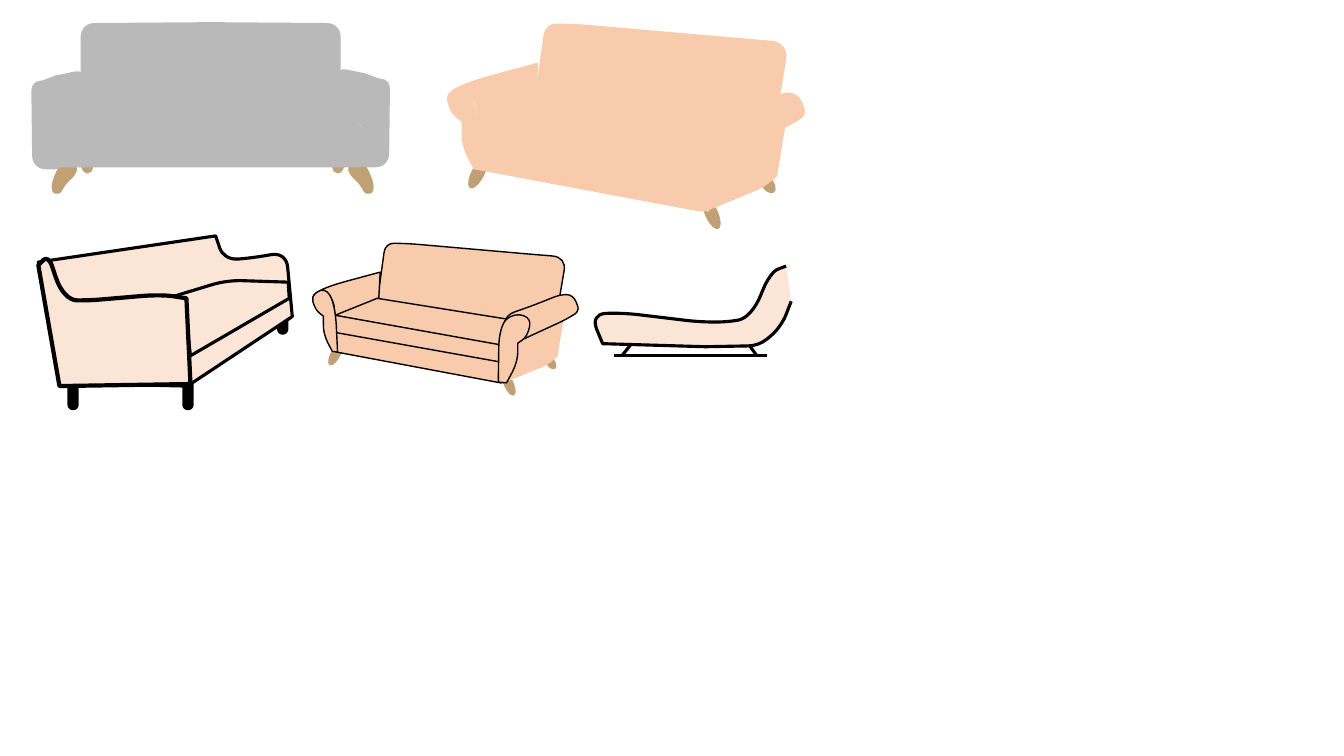
from itertools import pairwise
from math import dist

from pptx import Presentation
from pptx.dml.color import RGBColor
from pptx.enum.shapes import MSO_CONNECTOR, MSO_SHAPE
from pptx.oxml.ns import qn
from pptx.oxml.xmlchemy import OxmlElement
from pptx.util import Cm, Pt

COLORS = {"wood": "C0A175", "grey": "B9B9B9", "peach": "F8CBAD", "cream": "FBE5D6", "black": "000000"}

# Style: fill, line colour, line width in points
STYLES = {
    "wood": ("wood", None, 0), "edged wood": ("wood", "wood", 1),
    "grey": ("grey", None, 0),
    "peach": ("peach", None, 0), "inked peach": ("peach", "black", 1),
    "cream": ("cream", "black", 2.25), "bold cream": ("cream", "black", 3),
    "thin stroke": (None, "black", 2.25), "thick stroke": (None, "black", 4.5),
}

# Every outline is a list of corners in inches: x, y and, if the corner is rounded, a radius.

# Grey sofa: only the right half is described, the left half is its mirror image.
GREY_AXIS, GREY_LEG_AXIS, LEFT_DROP = 2.09, 2.11, 0.02
GREY_HALVES = [
    [(2.09, 0.22), (3.38, 0.23, 0.14), (3.38, 1.25, 0.14)],               # back
    [(3.33, 1.07), (3.58, 1.25), (3.68, 1.27, 0.1), (3.68, 1.66, 0.13)],  # seat
]
GREY_ARM = [
    [(3.63, 0.78, 0.12), (3.87, 0.78, 0.1), (3.86, 1.66, 0.14), (3.54, 1.66, 0.1)],
    [(3.35, 1.1), (3.34, 0.67, 0.1), (3.63, 0.73), (3.84, 0.81), (3.64, 0.82, 0.1), (3.6, 1.26)],
]
# One leg lying flat around (0, 0), then where its centre goes and how far it turns.
TAPERED_LEG = [(-0.17, -0.08, 0.08), (0.02, -0.08, 0.1), (0.17, -0.03, 0.08), (0.16, 0.06, 0.06),
               (0.03, 0.05, 0.1), (-0.08, 0.09, 0.08), (-0.18, 0.07, 0.08)]
GREY_LEGS = [(3.6, 1.76, 59), (3.35, 1.54, 84.1)]

# Peach sofa: drawn large, and again as an inked loveseat at a smaller scale.
PEACH_PARTS = {
    "back": [(5.41, 0.23, 0.12), (5.75, 0.24, 0.1), (7.24, 0.37), (7.83, 0.42, 0.18),
             (7.72, 1.07, 0.03), (7.51, 1.03), (7.16, 1.37, 0.1), (5.69, 1.11), (5.3, 1.02)],
    "side": [(7.02, 2.09), (7.08, 1.7, 0.2), (7.16, 1.54), (7.79, 1.26), (7.71, 1.75),
             (7.58, 1.86, 0.1)],
    "left arm": [(4.45, 0.93), (4.6, 0.82, 0.3), (5.34, 0.62), (5.31, 1.19), (4.72, 1.47),
                 (4.74, 0.92, 0.27)],
    "seat": [(5.35, 1.01), (7.2, 1.34, 0.05), (6.97, 1.61), (6.97, 1.86, 0.05),
             (4.76, 1.46, 0.06), (4.76, 1.26, 0.06)],
    "right arm": [(7.2, 1.54), (6.98, 1.4), (7.03, 1.19, 0.1), (7.37, 1.07, 0.1),
                  (7.75, 0.92, 0.08), (7.92, 0.92, 0.1), (8.01, 1.14, 0.08), (7.81, 1.26, 0.1)],
    "base": [(4.7, 1.42, 0.05), (7.05, 1.84, 0.05), (7, 2.11, 0.05), (4.71, 1.68, 0.06)],
    "left front": [(4.42, 0.94, 0.07), (4.6, 0.82, 0.12), (4.74, 1.05, 0.3), (4.77, 1.69),
                   (4.7, 1.68), (4.58, 1.45, 0.2), (4.58, 1.21), (4.47, 1.12, 0.12)],
    "right front": [(7.36, 1.24, 0.1), (7.14, 1.16, 0.14), (6.93, 1.33, 0.3), (6.92, 2.09),
                    (7.03, 2.1), (7.18, 1.82, 0.28), (7.18, 1.57), (7.31, 1.48, 0.12)],
}
# Oval legs: centre, length, thickness, rotation
PEACH_LEGS = {"front leg": (7.06, 2.12, 0.33, 0.13, 65.8), "rear leg": (7.62, 1.83, 0.2, 0.12, 54.2),
              "left leg": (4.74, 1.72, 0.33, 0.13, 117.5)}
PEACH_ORDER = ["front leg", "rear leg", "back", "side", "left arm", "left leg", "seat",
               "right arm", "base", "left front", "right front"]
LOVESEAT_ORDER = ["back", "left arm", "cushion", "raised base", "front leg", "rear leg", "side",
                  "left leg", "right arm", "base", "left front", "right front"]
LOVESEAT_SCALE, LOVESEAT_LEFT, LOVESEAT_TOP = 0.742, -0.19, 2.24
CUSHION_RISE = 0.23
LOVESEAT_PARTS = PEACH_PARTS | {
    "cushion": [(4.73, 1.2), (5.3, 0.97), (7.11, 1.26, 0.07), (7.06, 1.62, 0.07)],
    "raised base": [(x, y - CUSHION_RISE, radius) for x, y, radius in PEACH_PARTS["base"]],
}

CREAM_PARTS = [
    ("cream", [(0.38, 2.6), (2.14, 2.34), (2.22, 2.58, 0.15), (2.5, 2.56, 0.2),
               (2.84, 2.5, 0.15), (2.9, 3.14), (1.86, 3.83), (0.6, 3.8)]),           # frame
    ("cream", [(0.97, 3.17), (2.25, 2.78, 0.15), (2.86, 2.8), (2.87, 2.96),
               (1.89, 3.53), (1.84, 3.08)]),                                         # seat
    ("bold cream", [(0.38, 2.63), (0.48, 2.53, 0.12), (0.63, 2.98, 0.25), (0.9, 2.98, 0.1),
                    (1.6, 2.92, 0.2), (1.85, 2.96), (1.89, 3.81), (0.59, 3.83)]),    # near arm
]
CREAM_LEG_SIZE = (0.05, 0.26)
CREAM_LEGS = [(0.7, 3.78), (1.84, 3.78), (2.78, 3.03)]

CHAISE_BODY = [(7.8, 2.64), (7.64, 2.7, 0.2), (7.46, 3.15, 0.3), (7.2, 3.2, 0.2), (6.9, 3.19, 0.1),
               (6.15, 3.1, 0.2), (5.86, 3.12, 0.2), (5.98, 3.41), (7, 3.44), (7.53, 3.43, 0.1),
               (7.75, 3.25, 0.2), (7.85, 2.99)]
CHAISE_STRUTS = [(6.29, 3.38, 6.17, 3.53), (7.38, 3.35, 7.51, 3.53), (6.09, 3.53, 7.61, 3.53)]

ROUNDNESS = 0.6  # how far a curve's handles reach towards the corner

deck = Presentation()
deck.slide_width, deck.slide_height = Cm(33.87), Cm(19.05)
page = deck.slides.add_slide(deck.slide_layouts[6])
shapes = page.shapes


def inches(*values):
    return [Cm(value * 2.54) for value in values]


def color(name):
    return RGBColor.from_string(COLORS[name])


def paint(shape, style, rotation=0):
    fill, line, width = STYLES[style]
    shape.shadow.inherit = False
    shape.rotation = rotation
    for surface, name in ((shape.fill, fill), (shape.line.fill, line)):
        if name:
            surface.solid()
            surface.fore_color.rgb = color(name)
        else:
            surface.background()
    if line:
        shape.line.width = Pt(width)
    return shape


def toward(start, end, share):
    return tuple(a + (b - a) * share for a, b in zip(start, end))


def round_corners(corners, closed):
    """Return the outline's points, and the index at which each four-point curve begins."""
    points, curve_starts = [], []
    for index, (*corner, radius) in enumerate((*corner, 0)[:3] for corner in corners):
        if not radius or (not closed and index in (0, len(corners) - 1)):
            points.append(corner)
            continue
        before, after = corners[index - 1][:2], corners[(index + 1) % len(corners)][:2]
        enter, leave = (toward(corner, other, min(0.5, radius / dist(corner, other)))
                        for other in (before, after))
        curve_starts.append(len(points))
        points += [enter, toward(enter, corner, ROUNDNESS), toward(leave, corner, ROUNDNESS), leave]
    return points, curve_starts


def draw(corners, style, closed=True, rotation=0):
    points, curve_starts = round_corners(corners, closed)
    start, *others = [inches(*point) for point in points]
    builder = shapes.build_freeform(*start)
    builder.add_line_segments(others, close=closed)
    shape = builder.convert_to_shape()
    lines = list(shape.element.iter(qn("a:lnTo")))
    for first in curve_starts:
        curve = OxmlElement("a:cubicBezTo")
        lines[first].addprevious(curve)
        for line in lines[first:first + 3]:
            curve.append(line[0])
            line.getparent().remove(line)
    return paint(shape, style, rotation)


def place(corners, scale=1, left=0, top=0):
    return [(x * scale + left, y * scale + top, *(radius * scale for radius in rest))
            for x, y, *rest in corners]


def mirror(corners, axis, drop=0):
    return [(2 * axis - x, y + drop, *rest) for x, y, *rest in corners]


def preset(kind, style, box, rotation=0):
    return paint(shapes.add_shape(kind, *inches(*box)), style, rotation)


def grey_sofa():
    for x, y, turn in GREY_LEGS:
        yield draw(place(TAPERED_LEG, left=x, top=y), "edged wood", rotation=turn)
        yield draw(mirror(place(TAPERED_LEG, left=x, top=y), GREY_LEG_AXIS), "edged wood", rotation=-turn)
    for half in GREY_HALVES:
        yield draw(half + mirror(half, GREY_AXIS)[::-1], "grey")
    for part in GREY_ARM:
        yield draw(part, "grey")
        yield draw(mirror(part, GREY_AXIS, LEFT_DROP), "grey")


def peach_sofa(order, parts, style, scale=1, left=0, top=0):
    for name in order:
        if name in PEACH_LEGS:
            x, y, length, thickness, turn = PEACH_LEGS[name]
            corner = (x - length / 2) * scale + left, (y - thickness / 2) * scale + top
            yield preset(MSO_SHAPE.OVAL, "wood", (*corner, length * scale, thickness * scale), turn)
        else:
            yield draw(place(parts[name], scale, left, top), "peach" if name == "side" else style)


def chaise():
    _, stroke, width = STYLES["thin stroke"]
    for ends in CHAISE_STRUTS:
        strut = shapes.add_connector(MSO_CONNECTOR.STRAIGHT, *inches(*ends))
        strut.line.color.rgb, strut.line.width = color(stroke), Pt(width)
        strut.element.spPr.append(OxmlElement("a:effectLst"))
        yield strut
    yield draw(CHAISE_BODY, "cream", closed=False)


def cream_sofa():
    for corner in CREAM_LEGS:
        leg = preset(MSO_SHAPE.ROUNDED_RECTANGLE, "thick stroke", corner + CREAM_LEG_SIZE)
        leg.adjustments[0] = 0.5
        yield leg
    for style, corners in CREAM_PARTS:
        yield draw(corners, style)


for furniture in (
    grey_sofa(),
    peach_sofa(PEACH_ORDER, PEACH_PARTS, "peach"),
    peach_sofa(LOVESEAT_ORDER, LOVESEAT_PARTS, "inked peach", LOVESEAT_SCALE, LOVESEAT_LEFT, LOVESEAT_TOP),
    chaise(),
    cream_sofa(),
):
    shapes.add_group_shape(list(furniture))

deck.save("out.pptx")
